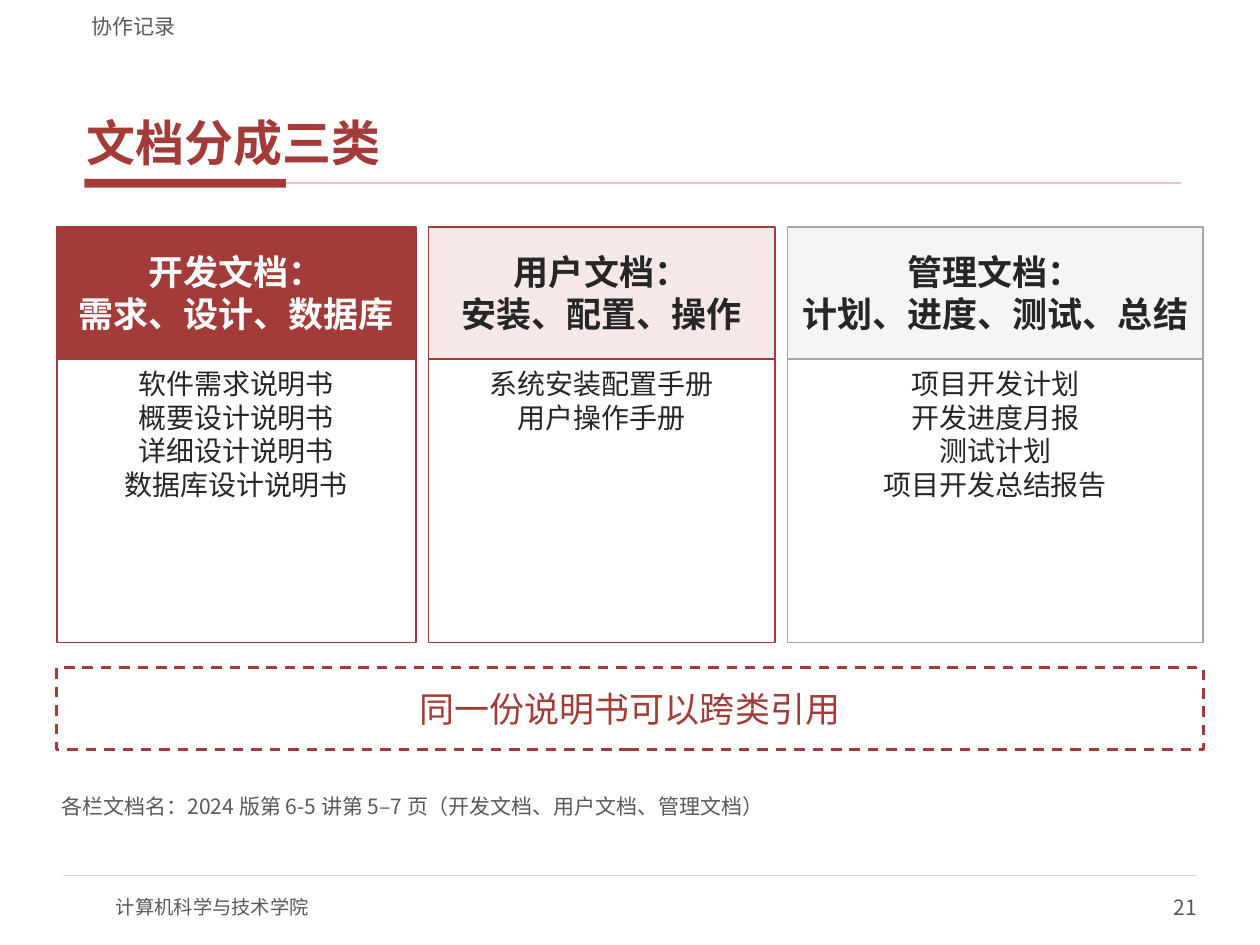
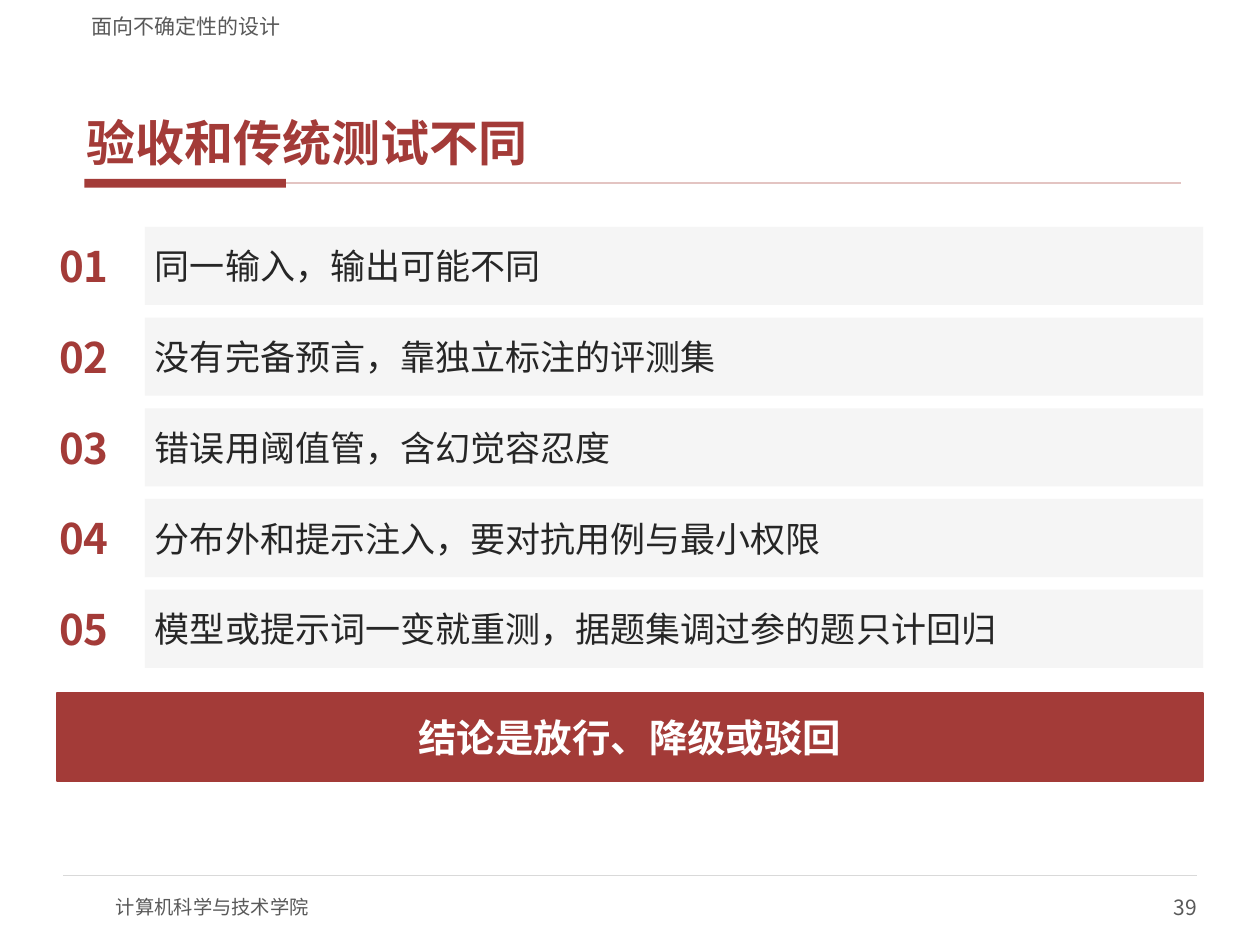
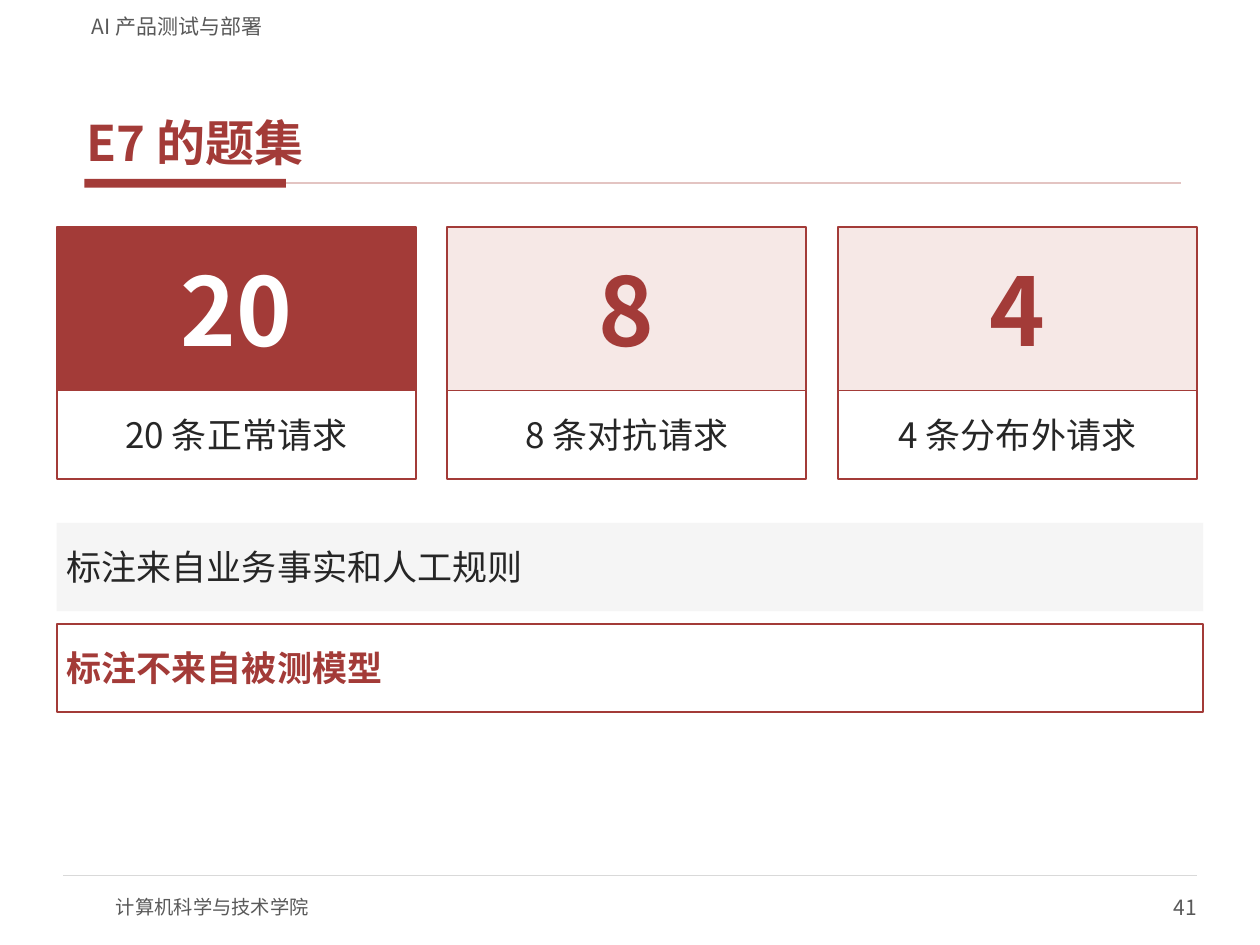
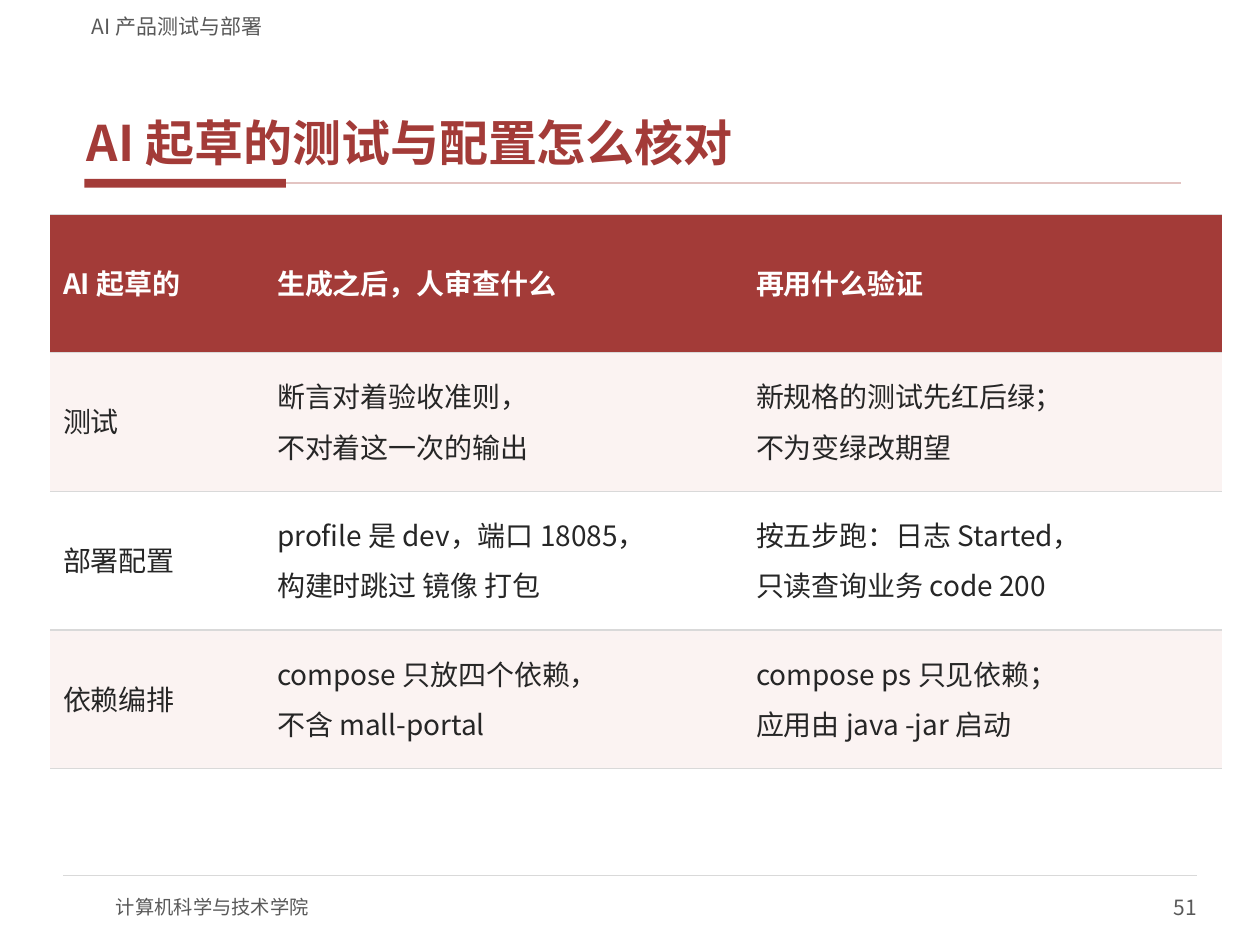
"""Build four course slides on documents, acceptance, test sets and checking drafts."""

from dataclasses import dataclass

from lxml.etree import SubElement
from pptx import Presentation
from pptx.dml.color import RGBColor
from pptx.enum.dml import MSO_LINE_DASH_STYLE as Dash
from pptx.enum.shapes import MSO_CONNECTOR as Connector, MSO_SHAPE as Shape
from pptx.enum.text import MSO_ANCHOR as Anchor, MSO_AUTO_SIZE as AutoSize, PP_ALIGN as Align
from pptx.oxml.ns import qn
from pptx.util import Inches, Pt


@dataclass(frozen=True)
class Theme:
    font: str = "Noto Sans CJK SC"
    red: str = "A33B38"
    pink: str = "F6E8E6"
    blush: str = "FBF3F2"
    rose: str = "E3C4C2"
    pale: str = "F5F5F5"
    white: str = "FFFFFF"
    ink: str = "262626"
    muted: str = "595959"
    rule: str = "D9D9D9"
    gray: str = "A6A6A6"
    title: int = 28
    figure: int = 54
    number: int = 24
    verdict: int = 22
    body: int = 20
    item: int = 16
    note: int = 12
    footer: int = 11


theme = Theme()
rgb = RGBColor.from_string


def style_paragraph(para, size, color, bold=False, align=Align.LEFT):
    para.alignment = align
    para.font.size = Pt(size)
    para.font.bold = bold
    para.font.color.rgb = rgb(color)
    para.font.name = theme.font
    defaults = para._p.pPr.find(qn("a:defRPr"))
    SubElement(defaults, qn("a:ea"), typeface=theme.font)


def add_box(page, place, text, size, color, fill=None, line=None, bold=False,
            align=Align.LEFT, anchor=Anchor.MIDDLE, inset=(0.08, 0.04)):
    place = [Inches(length) for length in place]
    if fill or line:
        box = page.shapes.add_shape(Shape.RECTANGLE, *place)
        box.shadow.inherit = False
        if fill:
            box.fill.solid()
            box.fill.fore_color.rgb = rgb(fill)
        else:
            box.fill.background()
        if line:
            box.line.color.rgb = rgb(line)
            box.line.width = Pt(1)
        else:
            box.line.fill.background()
    else:
        box = page.shapes.add_textbox(*place)
    frame = box.text_frame
    frame.word_wrap = True
    frame.vertical_anchor = anchor
    frame.margin_left = frame.margin_right = Inches(inset[0])
    frame.margin_top = frame.margin_bottom = Inches(inset[1])
    para = frame.paragraphs[0]
    para.text = text
    style_paragraph(para, size, color, bold, align)
    return box


deck = Presentation()
deck.slide_width, deck.slide_height = Inches(10), Inches(7.5)

left, top, width, gap = 0.45, 1.8, 9.1, 0.1
bar_left, bar_top, bar_width, bar_height = 0.67, 1.42, 1.6, 0.07
bar_middle = bar_top + bar_height / 2

headings = [
    ("协作记录", "文档分成三类", "21"),
    ("面向不确定性的设计", "验收和传统测试不同", "39"),
    ("AI 产品测试与部署", "E7 的题集", "41"),
    ("AI 产品测试与部署", "AI 起草的测试与配置怎么核对", "51"),
]
pages = []
for topic, heading, page_number in headings:
    page = deck.slides.add_slide(deck.slide_layouts[5])
    pages.append(page)

    title = page.shapes.title
    title.left, title.top = Inches(0.63), Inches(0.33)
    title.width, title.height = Inches(8.75), Inches(1.05)
    frame = title.text_frame
    frame.text = heading
    frame.auto_size = AutoSize.NONE
    frame.vertical_anchor = Anchor.BOTTOM
    frame.margin_left = frame.margin_right = Inches(0.06)
    frame.margin_top = frame.margin_bottom = Inches(0.02)
    frame.paragraphs[0].space_after = Pt(2)
    style_paragraph(frame.paragraphs[0], theme.title, theme.red, bold=True)

    bar = page.shapes.add_shape(Shape.RECTANGLE, Inches(bar_left), Inches(bar_top),
                                Inches(bar_width), Inches(bar_height))
    bar.shadow.inherit = False
    bar.fill.solid()
    bar.fill.fore_color.rgb = rgb(theme.red)
    bar.line.fill.background()

    rules = [(bar_left + bar_width, 9.37, bar_middle, theme.rose, 1),
             (0.5, 9.5, 6.95, theme.rule, 0.75)]
    for start, end, height, color, weight in rules:
        rule = page.shapes.add_connector(Connector.STRAIGHT, Inches(start), Inches(height),
                                         Inches(end), Inches(height))
        rule.line.color.rgb = rgb(color)
        rule.line.width = Pt(weight)
        SubElement(rule._element.spPr, qn("a:effectLst"))
        if color == theme.rose:
            rule.begin_connect(bar, 3)

    add_box(page, (0.92, 7, 4, 0.4), "计算机科学与技术学院", theme.footer, theme.muted, inset=(0, 0))
    add_box(page, (7.5, 7, 2, 0.4), page_number, theme.note, theme.muted,
            align=Align.RIGHT, inset=(0, 0))
    add_box(page, (0.63, 0.04, 8.75, 0.27), topic, theme.note, theme.muted,
            anchor=Anchor.BOTTOM, inset=(0.1, 0))

documents_page, acceptance_page, dataset_page, review_page = pages

categories = [
    (2.85, "开发文档：\n需求、设计、数据库", "软件需求说明书\n概要设计说明书\n详细设计说明书\n数据库设计说明书",
     theme.red, theme.red, theme.white),
    (2.75, "用户文档：\n安装、配置、操作", "系统安装配置手册\n用户操作手册",
     theme.pink, theme.red, theme.ink),
    (3.3, "管理文档：\n计划、进度、测试、总结", "项目开发计划\n开发进度月报\n测试计划\n项目开发总结报告",
     theme.pale, theme.gray, theme.ink),
]
column_left = left
for column_width, category, documents, fill, line, color in categories:
    add_box(documents_page, (column_left, top, column_width, 1.05), category, theme.body, color,
            fill, line, bold=True, align=Align.CENTER)
    add_box(documents_page, (column_left, top + 1.05, column_width, 2.25), documents, theme.item,
            theme.ink, theme.white, line, align=Align.CENTER, anchor=Anchor.TOP, inset=(0.12, 0.06))
    column_left += column_width + gap

sharing = add_box(documents_page, (left, 5.3, width, 0.65), "同一份说明书可以跨类引用", theme.body,
                  theme.red, line=theme.red, align=Align.CENTER)
sharing.line.width = Pt(1.5)
sharing.line.dash_style = Dash.DASH
add_box(documents_page, (left, 6.3, width, 0.22),
        "各栏文档名：2024 版第 6-5 讲第 5–7 页（开发文档、用户文档、管理文档）",
        theme.note, theme.muted, anchor=Anchor.BOTTOM, inset=(0.04, 0.02))

differences = [
    "同一输入，输出可能不同",
    "没有完备预言，靠独立标注的评测集",
    "错误用阈值管，含幻觉容忍度",
    "分布外和提示注入，要对抗用例与最小权限",
    "模型或提示词一变就重测，据题集调过参的题只计回归",
]
number_width, row_height = 0.7, 0.62
for index, difference in enumerate(differences):
    row_top = top + index * (row_height + gap)
    add_box(acceptance_page, (left, row_top, number_width, row_height), f"{index + 1:02}",
            theme.number, theme.red, bold=True, inset=(0.02, 0.01))
    add_box(acceptance_page, (left + number_width, row_top, width - number_width, row_height),
            difference, theme.body, theme.ink, theme.pale)
add_box(acceptance_page, (left, 5.5, width, 0.7), "结论是放行、降级或驳回", theme.verdict,
        theme.white, theme.red, theme.red, bold=True, align=Align.CENTER)

requests = [
    ("20", "条正常请求", theme.red, theme.white),
    ("8", "条对抗请求", theme.pink, theme.red),
    ("4", "条分布外请求", theme.pink, theme.red),
]
for index, (count, kind, fill, color) in enumerate(requests):
    card_left = left + index * 3.1
    add_box(dataset_page, (card_left, top, 2.85, 1.3), count, theme.figure, color,
            fill, theme.red, bold=True, align=Align.CENTER)
    add_box(dataset_page, (card_left, top + 1.3, 2.85, 0.7), f"{count} {kind}", theme.body,
            theme.ink, theme.white, theme.red, align=Align.CENTER)
add_box(dataset_page, (left, 4.15, width, 0.7), "标注来自业务事实和人工规则", theme.body,
        theme.ink, theme.pale)
add_box(dataset_page, (left, 4.95, width, 0.7), "标注不来自被测模型", theme.body,
        theme.red, theme.white, theme.red, bold=True)

checks = [
    ("AI 起草的", "生成之后，人审查什么", "再用什么验证"),
    ("测试", "断言对着验收准则，\n不对着这一次的输出", "新规格的测试先红后绿；\n不为变绿改期望"),
    ("部署配置", "profile 是 dev，端口 18085，\n构建时跳过 镜像 打包",
     "按五步跑：日志 Started，\n只读查询业务 code 200"),
    ("依赖编排", "compose 只放四个依赖，\n不含 mall-portal", "compose ps 只见依赖；\n应用由 java -jar 启动"),
]
row_fills = [theme.red, theme.blush, theme.white, theme.blush]
table = review_page.shapes.add_table(len(checks), 3, Inches(0.4), Inches(1.7),
                                     Inches(9.3), Inches(4.4)).table
table.horz_banding = False
for column, column_width in zip(table.columns, (1.7, 3.8, 3.8)):
    column.width = Inches(column_width)
for row_index, (row, texts, fill) in enumerate(zip(table.rows, checks, row_fills)):
    row.height = Inches(1.1)
    is_header = row_index == 0
    for cell, text in zip(row.cells, texts):
        cell.text = text
        cell.vertical_anchor = Anchor.MIDDLE
        properties = cell._tc.get_or_add_tcPr()
        for side in ("L", "R"):
            border = SubElement(properties, qn(f"a:ln{side}"), w="0")
            SubElement(border, qn("a:noFill"))
        for side in ("T", "B"):
            border = SubElement(properties, qn(f"a:ln{side}"), w=str(Pt(0.75)))
            SubElement(SubElement(border, qn("a:solidFill")), qn("a:srgbClr"), val=theme.rule)
        cell.fill.solid()
        cell.fill.fore_color.rgb = rgb(fill)
        for para_index, para in enumerate(cell.text_frame.paragraphs):
            para.line_spacing = 0.9
            para.space_before = Pt(6 if para_index else 0)
            para.space_after = Pt(2)
            style_paragraph(para, theme.item, theme.white if is_header else theme.ink, is_header)

deck.save("out.pptx")
